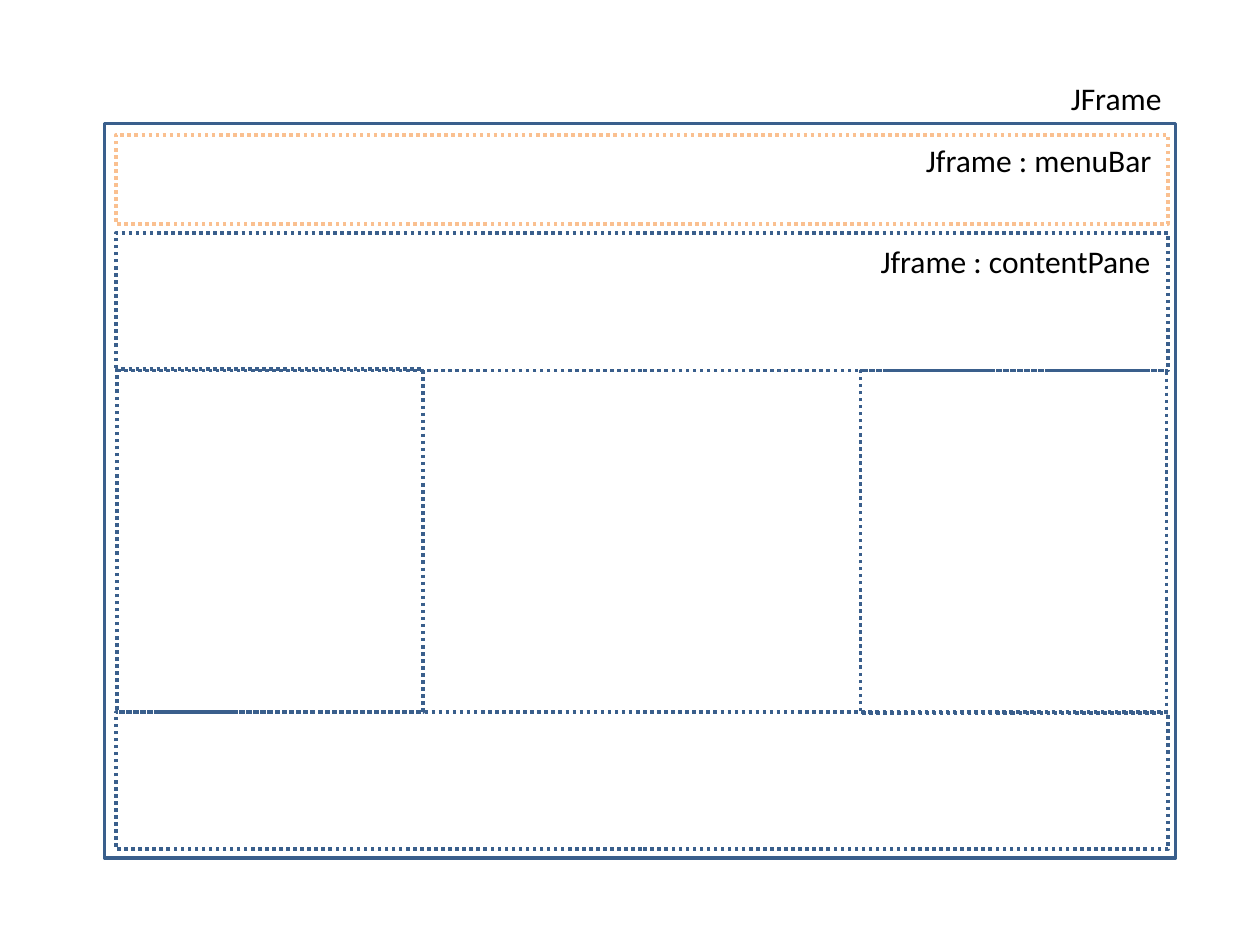
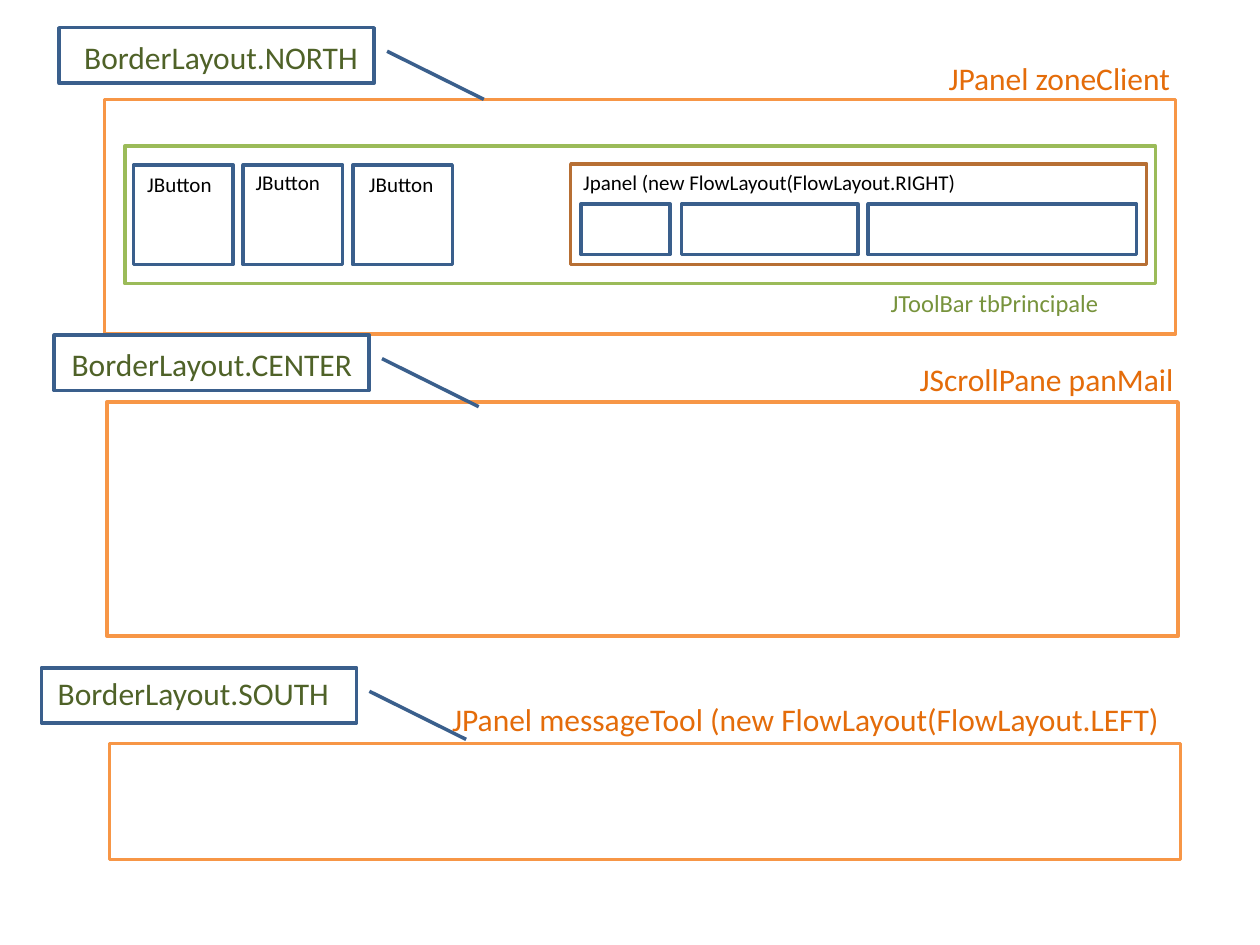
from pptx import Presentation
from pptx.util import Inches, Pt
from pptx.dml.color import RGBColor
from pptx.enum import dml, shapes, text

HUES = {
    "blue": "3A5F8C", "orange": "F79646", "peach": "FAC090",
    "green": "9BBB59", "brown": "B76F34", "white": "FFFFFF",
    "black": "000000", "rust": "E46C0A", "olive": "77933C", "moss": "4F6228",
}
KIND = shapes.MSO_SHAPE


def box(slide, x, y, w, h, hue="blue", fill=None, dots=False, kind=KIND.RECTANGLE):
    shape = slide.shapes.add_shape(kind, Inches(x), Inches(y), Inches(w), Inches(h))
    shape.shadow.inherit = False
    if fill:
        shape.fill.solid()
        shape.fill.fore_color.rgb = RGBColor.from_string(HUES[fill])
    else:
        shape.fill.background()
    shape.line.color.rgb = RGBColor.from_string(HUES[hue])
    shape.line.width = Pt(2)
    if dots:
        shape.line.dash_style = dml.MSO_LINE.ROUND_DOT
    return shape


def label(slide, words, x, y, w, h=0.4, size=18, hue="black"):
    frame = slide.shapes.add_textbox(Inches(x), Inches(y), Inches(w), Inches(h)).text_frame
    frame.word_wrap = False
    frame.auto_size = text.MSO_AUTO_SIZE.SHAPE_TO_FIT_TEXT
    run = frame.paragraphs[0].add_run()
    run.text = words
    run.font.name = "Calibri"
    run.font.size = Pt(size)
    run.font.color.rgb = RGBColor.from_string(HUES[hue])


deck = Presentation()
deck.slide_width, deck.slide_height = Inches(10), Inches(7.5)
blank = deck.slide_layouts[6]

frame = deck.slides.add_slide(blank)
box(frame, 0.83, 0.98, 8.5, 5.83)
label(frame, "JFrame", 8.4, 0.58, 0.93)
for y in (1.85, 5.65):
    box(frame, 0.92, y, 8.35, 1.09, dots=True)
for x, y in ((0.93, 2.93), (6.83, 2.94)):
    box(frame, x, y, 2.43, 2.72, dots=True)
label(frame, "Jframe : contentPane", 6.89, 1.87, 2.37)
box(frame, 0.92, 1.07, 8.35, 0.71, hue="peach", dots=True)
label(frame, "Jframe : menuBar", 7.25, 1.07, 2.01)

zones = deck.slides.add_slide(blank)
panels = [
    (0.83, 0.79, 1.86, "JPanel zoneClient", 7.43, 0.42, 1.98),
    (0.85, 3.19, 1.86, "JScrollPane panMail", 7.2, 2.81, 2.24),
    (0.87, 5.9, 0.92, "JPanel messageTool (new FlowLayout(FlowLayout.LEFT)", 3.49, 5.51, 5.88),
]
for x, y, h, words, left, top, w in panels:
    box(zones, x, y, 8.5, h, hue="orange", fill="white")
    label(zones, words, left, top, w, hue="rust")

box(zones, 0.99, 1.16, 8.18, 1.09, hue="green", fill="white")
label(zones, "JToolBar tbPrincipale", 6.97, 2.24, 1.87, h=0.34, size=14, hue="olive")
for i, (x, y) in enumerate(((1.07, 1.31), (1.93, 1.3), (2.83, 1.31))):
    box(zones, 1.06 + 0.87 * i, 1.31, 0.79, 0.79)
    label(zones, "JButton", x, y, 0.72, h=0.3, size=12)

box(zones, 4.53, 1.3, 4.57, 0.8, hue="brown")
label(zones, "Jpanel (new FlowLayout(FlowLayout.RIGHT)", 4.53, 1.3, 3.19, h=0.3, size=12)
for x, w in ((4.61, 0.71), (5.41, 1.4), (6.89, 2.13)):
    box(zones, x, 1.62, w, 0.4)

regions = [
    ("NORTH", 0.47, 0.22, 0.57, 0.25, 2.4),
    ("CENTER", 0.43, 2.66, 0.47, 2.69, 2.45),
    ("SOUTH", 0.33, 5.3, 0.36, 5.3, 2.38),
]
for side, x, y, left, top, w in regions:
    callout = box(zones, x, y, 2.5, 0.44, kind=KIND.LINE_CALLOUT_1)
    for i, value in enumerate((0.425, 1.041, 1.292, 1.348)):
        callout.adjustments[i] = value
    label(zones, "BorderLayout." + side, left, top, w, hue="moss")

deck.save("out.pptx")
